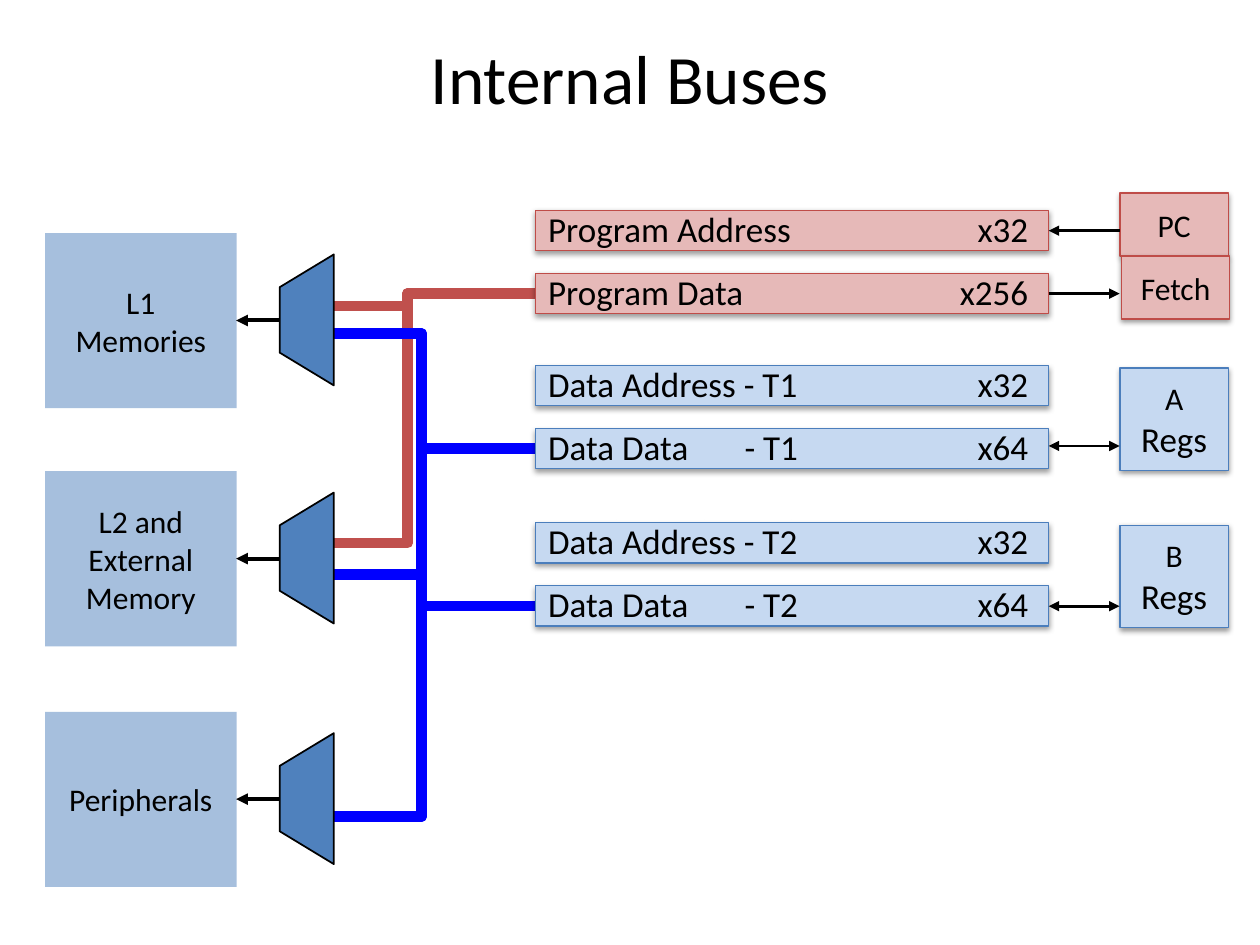
import pptx
import pptx.util
import pptx.dml.color
import pptx.enum.shapes
import pptx.enum.text
import pptx.oxml
import pptx.oxml.ns
from lxml import etree

Cm, Pt = pptx.util.Cm, pptx.util.Pt
MSO = pptx.enum.shapes.MSO_SHAPE
CONN = pptx.enum.shapes.MSO_CONNECTOR
ANCHOR = pptx.enum.text.MSO_ANCHOR
ALIGN = pptx.enum.text.PP_ALIGN
rgb = pptx.dml.color.RGBColor.from_string
qn = pptx.oxml.ns.qn
NS = 'xmlns:a="http://schemas.openxmlformats.org/drawingml/2006/main"'
SHADOW = (f'<a:effectLst {NS}><a:outerShdw blurRad="39370" dist="20320" dir="5400000" '
          'rotWithShape="0"><a:srgbClr val="000000"><a:alpha val="38000"/></a:srgbClr>'
          '</a:outerShdw></a:effectLst>')
RED, BLUE = ("E6B9B8", "BF4C48"), ("C6D9F1", "4B7EBC")

prs = pptx.Presentation()
prs.slide_width, prs.slide_height = Cm(25.4), Cm(19.05)
s = prs.slides.add_slide(prs.slide_layouts[5])


def add_box(x, y, w, h, lines, fill, line=None, align=ALIGN.CENTER, **frame):
    """Rectangle with one paragraph per (text, size); outlined ones cast a shadow."""
    sp = s.shapes.add_shape(MSO.RECTANGLE, Cm(x), Cm(y), Cm(w), Cm(h))
    sp.shadow.inherit = False
    sp.fill.solid()
    sp.fill.fore_color.rgb = rgb(fill)
    if line:
        sp.line.color.rgb = rgb(line)
        sp.line.width = Pt(0.75)
        sp._element.spPr.remove(sp._element.spPr.find(qn("a:effectLst")))
        sp._element.spPr.append(pptx.oxml.parse_xml(SHADOW))
    else:
        sp.line.fill.background()
    tf = sp.text_frame
    for name, value in {"word_wrap": False, "vertical_anchor": ANCHOR.MIDDLE, **frame}.items():
        setattr(tf, name, value)
    for i, (text, size) in enumerate(lines):
        p = tf.add_paragraph() if i else tf.paragraphs[0]
        p.alignment = align
        r = p.add_run()
        r.text = text
        for name, value in {"size": Pt(size), "name": "Calibri"}.items():
            setattr(r.font, name, value)
        r.font.color.rgb = rgb("000000")
    return sp


def add_wire(x1, y1, x2, y2, color, width, kind=CONN.STRAIGHT, ends=()):
    """Connector; ends lists headEnd and/or tailEnd."""
    c = s.shapes.add_connector(kind, Cm(x1), Cm(y1), Cm(x2), Cm(y2))
    c.line.color.rgb = rgb(color)
    c.line.width = Pt(width)
    for end in ends:
        etree.SubElement(c.line._get_or_add_ln(), qn(f"a:{end}"), type="triangle")
    etree.SubElement(c._element.spPr, qn("a:effectLst"))


# Title
title = s.shapes.title
for name, value in {"left": 1.27, "top": 0.76, "width": 22.86, "height": 1.57}.items():
    setattr(title, name, Cm(value))
title.text_frame.text = "Internal Buses"
title.text_frame.vertical_anchor = ANCHOR.MIDDLE
p = title.text_frame.paragraphs[0]
p.alignment = ALIGN.CENTER
for name, value in {"size": Pt(39.6), "name": "Calibri"}.items():
    setattr(p.runs[0].font, name, value)
p.runs[0].font.color.rgb = rgb("000000")

# Bus wiring from the bars to the multiplexers
bar_x, bar_w = 10.8, 10.34
for port_y in (10.95, 6.17):
    add_wire(bar_x, 5.92, 5.64, port_y, "C0504D", 6, CONN.ELBOW)
for bus_y in (9.04, 12.22):
    for port_y in (6.73, 11.58, 16.46):
        add_wire(bar_x, bus_y, 6.2, port_y, "0000FF", 6, CONN.ELBOW)

# Bus bars
bars = [
    (4.24, "Program Address\tx32", RED),
    (5.51, "Program Data\tx256", RED),
    (7.37, "Data Address - T1\tx32", BLUE),
    (8.64, "Data Data\t- T1\tx64", BLUE),
    (10.54, "Data Address - T2\tx32", BLUE),
    (11.81, "Data Data\t- T2\tx64", BLUE),
]
for y, text, colors in bars:
    sp = add_box(bar_x, y, bar_w, 0.81, [(text, 20)], *colors, align=ALIGN.LEFT,
                 vertical_anchor=ANCHOR.TOP, margin_left=Cm(0.25), margin_right=0,
                 margin_top=0, margin_bottom=0)
    p = sp.text_frame.paragraphs[0]
    p.line_spacing = 0.95
    tabs = etree.SubElement(p._p.get_or_add_pPr(), qn("a:tabLst"))
    stops = [(3.96, "l"), (9.68, "r")]
    for pos, algn in stops[-text.count("\t"):]:
        etree.SubElement(tabs, qn("a:tab"), pos=str(Cm(pos)), algn=algn)

# Registers and program units
units = [
    (22.58, 3.89, 1.27, [("PC", 18)], RED),
    (22.61, 5.16, 1.27, [("Fetch", 18)], RED),
    (22.58, 7.42, 2.06, [("A", 18), ("Regs", 20)], BLUE),
    (22.58, 10.59, 2.06, [("B", 18), ("Regs", 20)], BLUE),
]
for x, y, h, lines, colors in units:
    add_box(x, y, 2.18, h, lines, *colors, margin_left=0, margin_right=0)

# Arrows between bars and units
for y, ends in [(4.65, ["headEnd"]), (5.92, ["tailEnd"]),
                (8.99, ["headEnd", "tailEnd"]), (12.22, ["headEnd", "tailEnd"])]:
    add_wire(21.14, y, 22.57, y, "000000", 1.5, ends=ends)

# Memory blocks, each with its multiplexer and arrow
blocks = [(4.7, ["L1", "Memories"]), (9.5, ["L2 and", "External", "Memory"]),
          (14.35, ["Peripherals"])]
for top, names in blocks:
    sp = add_box(0.91, top, 3.86, 3.53, [(name, 18) for name in names], "4F81BD")
    color = sp._element.spPr.find(qn("a:solidFill"))[0]
    etree.SubElement(color, qn("a:alpha"), val="50000")

    fb = s.shapes.build_freeform(Cm(6.73), Cm(top + 0.43))
    fb.add_line_segments([(Cm(x), Cm(top + dy)) for x, dy in
                          ((5.64, 1.09), (5.64, 2.41), (6.73, 3.07))], close=True)
    mux = fb.convert_to_shape()
    mux.shadow.inherit = False
    mux.fill.solid()
    mux.fill.fore_color.rgb = rgb("4F81BD")
    mux.line.color.rgb = rgb("000000")
    mux.line.width = Pt(1)

    add_wire(5.64, top + 1.76, 4.76, top + 1.76, "000000", 2.25, ends=["tailEnd"])

prs.save("out.pptx")
